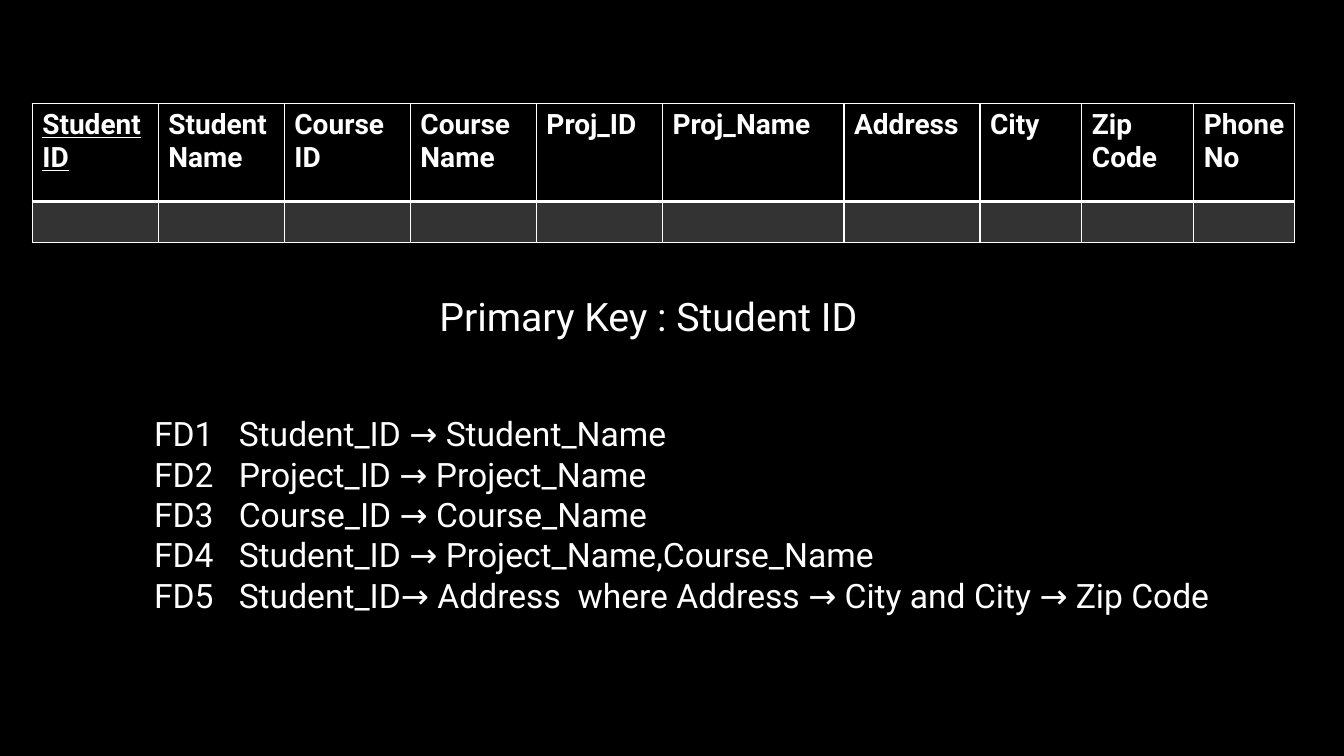
from lxml.etree import SubElement
from pptx import Presentation
from pptx.dml.color import RGBColor
from pptx.enum.text import PP_ALIGN
from pptx.oxml.ns import qn
from pptx.util import Inches, Pt

BLACK = RGBColor(0x00, 0x00, 0x00)
WHITE = RGBColor(0xFF, 0xFF, 0xFF)
FONT = "Roboto"


def write_text(paragraph, text, size=24, bold=False, underline=False, align=PP_ALIGN.LEFT):
    paragraph.alignment = align
    run = paragraph.add_run()
    run.text = text
    run.font.name = FONT
    run.font.size = Pt(size)
    run.font.bold = bold
    run.font.underline = underline
    run.font.color.rgb = WHITE


def set_borders(cell, bottom_width):
    properties = cell._tc.get_or_add_tcPr()
    for side, width in (("L", 1), ("R", 1), ("T", 1), ("B", bottom_width)):
        line = SubElement(properties, qn(f"a:ln{side}"), w=str(Pt(width)))
        fill = SubElement(line, qn("a:solidFill"))
        SubElement(fill, qn("a:srgbClr"), val=str(WHITE))


presentation = Presentation()
presentation.slide_width = Inches(13.33)
presentation.slide_height = Inches(7.5)
slide = presentation.slides.add_slide(presentation.slide_layouts[6])
slide.background.fill.solid()
slide.background.fill.fore_color.rgb = BLACK

columns = [
    ("Student ID", 1.25),
    ("Student Name", 1.25),
    ("Course ID", 1.25),
    ("Course Name", 1.25),
    ("Proj_ID", 1.25),
    ("Proj_Name", 1.8),
    ("Address", 1.35),
    ("City", 1.01),
    ("Zip Code", 1.11),
    ("Phone No", 1),
]
table = slide.shapes.add_table(
    2, len(columns), Inches(0.32), Inches(1.03), Inches(12.53), Inches(1.38)
).table
table.horz_banding = False
table.rows[0].height = Inches(0.97)
table.rows[1].height = Inches(0.41)

for index, (heading, width) in enumerate(columns):
    table.columns[index].width = Inches(width)

    header_cell = table.cell(0, index)
    set_borders(header_cell, bottom_width=2)
    header_cell.fill.background()
    write_text(header_cell.text_frame.paragraphs[0], heading, size=20, bold=True,
               underline=heading == "Student ID")

    empty_cell = table.cell(1, index)
    set_borders(empty_cell, bottom_width=1)
    empty_cell.fill.solid()
    empty_cell.fill.fore_color.rgb = WHITE
    color = empty_cell._tc.tcPr.find(qn("a:solidFill")).find(qn("a:srgbClr"))
    SubElement(color, qn("a:alpha"), val="20000")

key_box = slide.shapes.add_textbox(Inches(1.11), Inches(2.85), Inches(10.64), Inches(0.57))
key_box.text_frame.word_wrap = True
write_text(key_box.text_frame.paragraphs[0], "Primary Key : Student ID",
           size=28, align=PP_ALIGN.CENTER)

dependencies = [
    "Student_ID → Student_Name",
    "Project_ID → Project_Name",
    "Course_ID → Course_Name",
    "Student_ID → Project_Name,Course_Name",
    "Student_ID→ Address  where Address → City and City → Zip Code",
]
dependency_box = slide.shapes.add_textbox(Inches(1.43), Inches(4.05), Inches(11.15), Inches(2.12))
dependency_frame = dependency_box.text_frame
dependency_frame.word_wrap = True
for number, dependency in enumerate(dependencies, start=1):
    paragraph = dependency_frame.paragraphs[0] if number == 1 else dependency_frame.add_paragraph()
    write_text(paragraph, f"FD{number}\t{dependency}", align=PP_ALIGN.JUSTIFY)
    paragraph_properties = paragraph._p.get_or_add_pPr()
    paragraph_properties.set("marL", str(Inches(0.84)))
    paragraph_properties.set("indent", str(-Inches(0.84)))

presentation.save("out.pptx")
